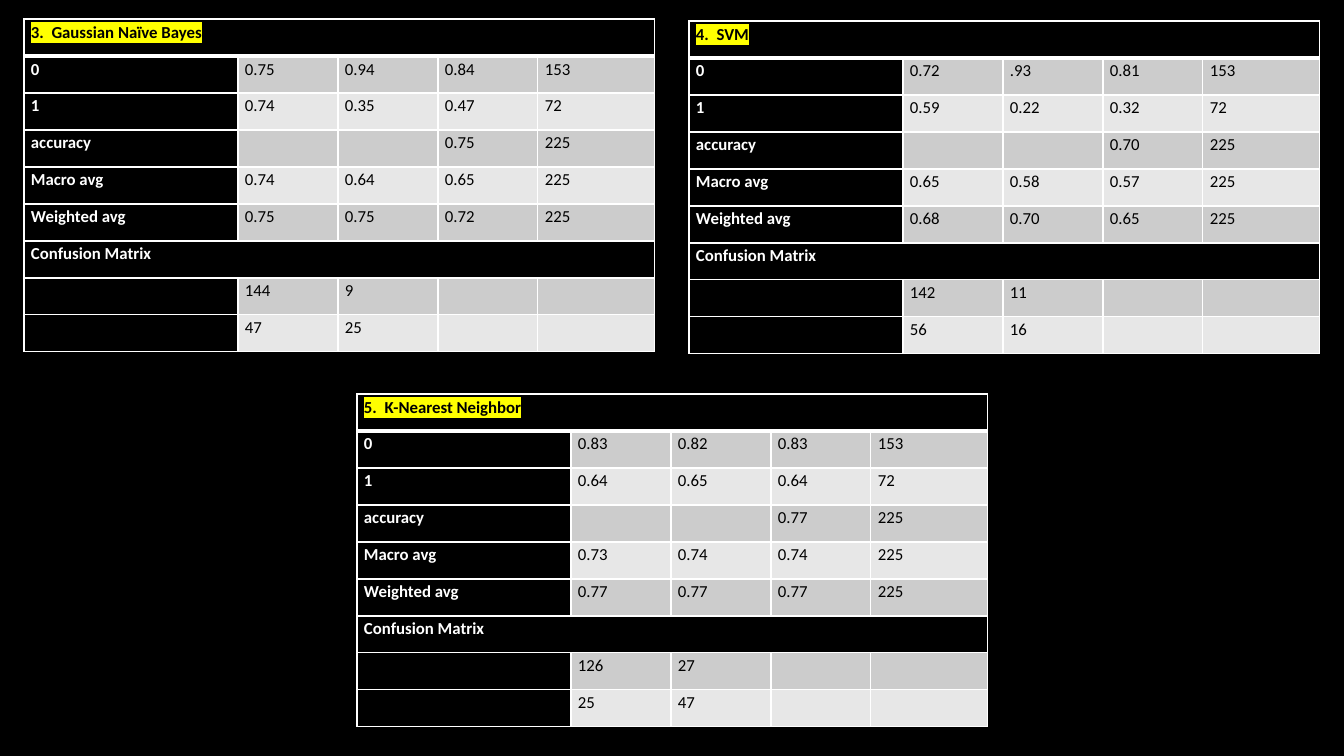
from lxml.etree import SubElement
from pptx import Presentation
from pptx.dml.color import RGBColor
from pptx.enum.text import PP_ALIGN
from pptx.oxml.ns import qn
from pptx.util import Emu, Pt

SLIDE_SIZE = (1344, 756)
COLUMN_WIDTHS = (214, 100, 100, 100, 117)
ROW_HEIGHT = 37
BLACK, WHITE, YELLOW = "000000", "FFFFFF", "FFFF00"
BAND_FILLS = ("E7E7E7", "CCCCCC")
MARGINS = {"margin_left": 7, "margin_right": 7, "margin_top": 0, "margin_bottom": 0}
PARAGRAPH_FORMAT = {"alignment": PP_ALIGN.JUSTIFY, "line_spacing": 1.15, "space_after": Pt(10)}
FONT_FORMAT = {"name": "Calibri", "size": Pt(12)}
ROW_LABELS = ("0", "1", "accuracy", "Macro avg", "Weighted avg", "Confusion Matrix", "", "")
HEADER_ROWS = (0, 6)

REPORTS = (
    ("3.  Gaussian Naïve Bayes", 24, 19, (
        ("0.75", "0.94", "0.84", "153"),
        ("0.74", "0.35", "0.47", "72"),
        ("", "", "0.75", "225"),
        ("0.74", "0.64", "0.65", "225"),
        ("0.75", "0.75", "0.72", "225"),
        ("", "", "", ""),
        ("144", "9", "", ""),
        ("47", "25", "", ""))),
    ("5.  K-Nearest Neighbor", 357, 394, (
        ("0.83", "0.82", "0.83", "153"),
        ("0.64", "0.65", "0.64", "72"),
        ("", "", "0.77", "225"),
        ("0.73", "0.74", "0.74", "225"),
        ("0.77", "0.77", "0.77", "225"),
        ("", "", "", ""),
        ("126", "27", "", ""),
        ("25", "47", "", ""))),
    ("4.  SVM", 689, 21, (
        ("0.72", ".93", "0.81", "153"),
        ("0.59", "0.22", "0.32", "72"),
        ("", "", "0.70", "225"),
        ("0.65", "0.58", "0.57", "225"),
        ("0.68", "0.70", "0.65", "225"),
        ("", "", "", ""),
        ("142", "11", "", ""),
        ("56", "16", "", ""))),
)


def px(length):
    """Turn whole pixels into EMU."""
    return Emu(round(length * 914400 / 100.8))


def color(value):
    """Turn a hex string into a colour."""
    return RGBColor.from_string(value)


def set_attributes(target, values):
    """Set every attribute named in a dict of format values."""
    for name, value in values.items():
        setattr(target, name, value)


def add_borders(cell, row):
    """Draw white cell borders, thicker below the title row."""
    widths = {"L": 1, "R": 1, "T": 3 if row == 1 else 1, "B": 3 if row == 0 else 1}
    properties = cell._tc.get_or_add_tcPr()
    for side, width in widths.items():
        line = SubElement(properties, qn(f"a:ln{side}"), w=str(Pt(width)))
        fill = SubElement(line, qn("a:solidFill"))
        SubElement(fill, qn("a:srgbClr"), val=WHITE)


def highlight(run, value):
    """Put a highlight colour behind a run."""
    properties = run._r.get_or_add_rPr()
    mark = SubElement(properties, qn("a:highlight"))
    SubElement(mark, qn("a:srgbClr"), val=value)
    properties.find(qn("a:solidFill")).addnext(mark)


def write_text(cell, text, text_color, bold):
    """Write one formatted run into a cell and return it."""
    paragraph = cell.text_frame.paragraphs[0]
    set_attributes(paragraph, PARAGRAPH_FORMAT)
    run = paragraph.add_run()
    run.text = text
    set_attributes(run.font, {**FONT_FORMAT, "bold": bold})
    run.font.color.rgb = color(text_color)
    return run


def format_cell(cell, row, column):
    """Give a cell its margins, borders and fill."""
    set_attributes(cell, {name: px(value) for name, value in MARGINS.items()})
    add_borders(cell, row)
    is_black = column == 0 or row in HEADER_ROWS
    cell.fill.solid()
    cell.fill.fore_color.rgb = color(BLACK if is_black else BAND_FILLS[row % 2])


def add_report(slide, title, left, top, values):
    """Add the score table of one classifier."""
    rows = [(title, "", "", "", "")]
    rows += [(label, *scores) for label, scores in zip(ROW_LABELS, values)]
    frame = slide.shapes.add_table(
        len(rows), len(COLUMN_WIDTHS), px(left), px(top),
        px(sum(COLUMN_WIDTHS)), px(ROW_HEIGHT * len(rows)))
    table = frame.table
    set_attributes(table, {"first_row": False, "horz_banding": False})
    for column, width in zip(table.columns, COLUMN_WIDTHS):
        column.width = px(width)
    for row, texts in enumerate(rows):
        table.rows[row].height = px(ROW_HEIGHT)
        for column, text in enumerate(texts):
            cell = table.cell(row, column)
            format_cell(cell, row, column)
            if text:
                text_color = WHITE if column == 0 and row > 0 else BLACK
                run = write_text(cell, text, text_color, column == 0)
                if row == 0:
                    highlight(run, YELLOW)
    for row in HEADER_ROWS:
        table.cell(row, 0).merge(table.cell(row, len(COLUMN_WIDTHS) - 1))


def main():
    """Build the slide with the three score tables."""
    presentation = Presentation()
    presentation.slide_width, presentation.slide_height = map(px, SLIDE_SIZE)
    slide = presentation.slides.add_slide(presentation.slide_layouts[6])
    slide.background.fill.solid()
    slide.background.fill.fore_color.rgb = color(BLACK)
    for report in REPORTS:
        add_report(slide, *report)
    presentation.save("out.pptx")


if __name__ == "__main__":
    main()
